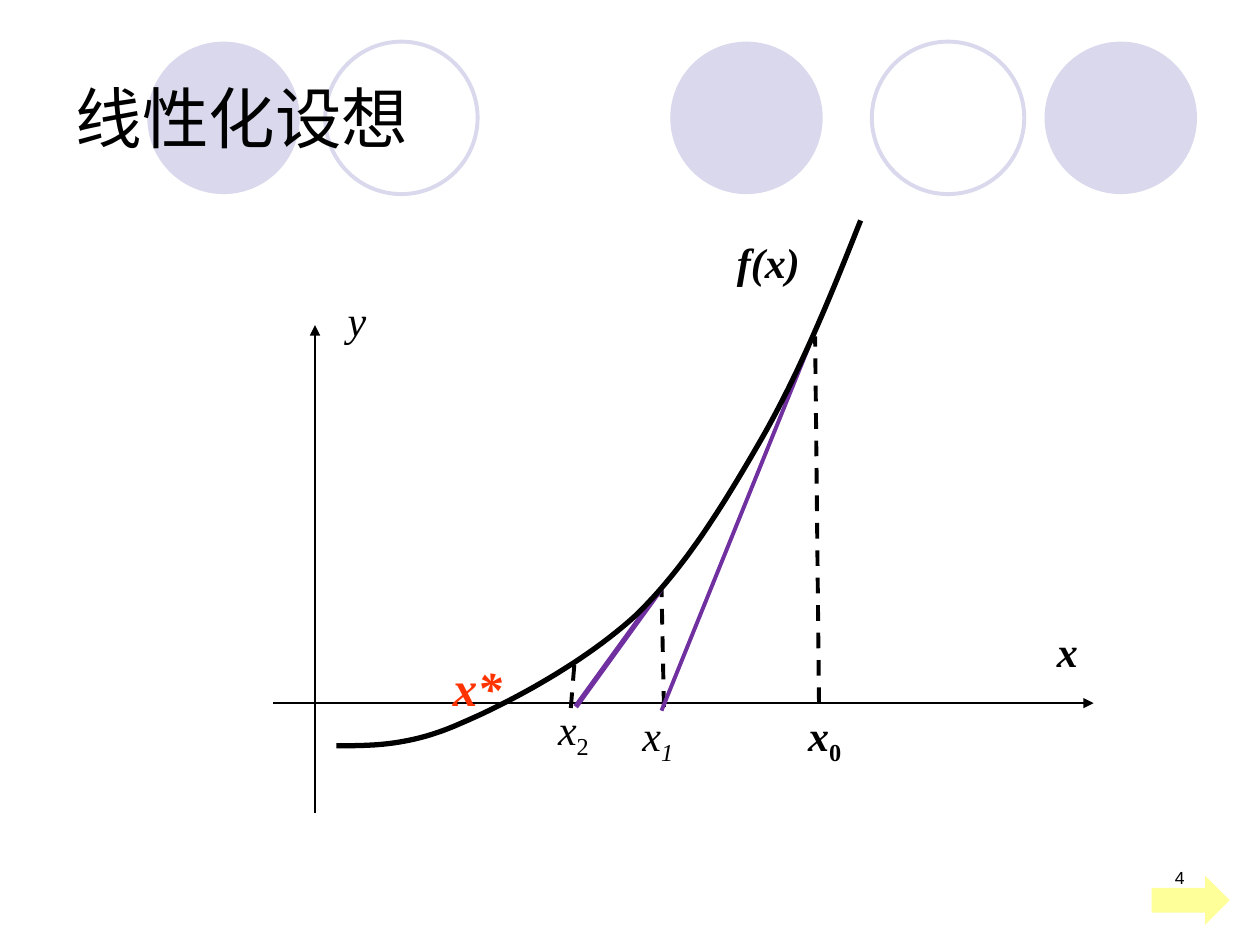
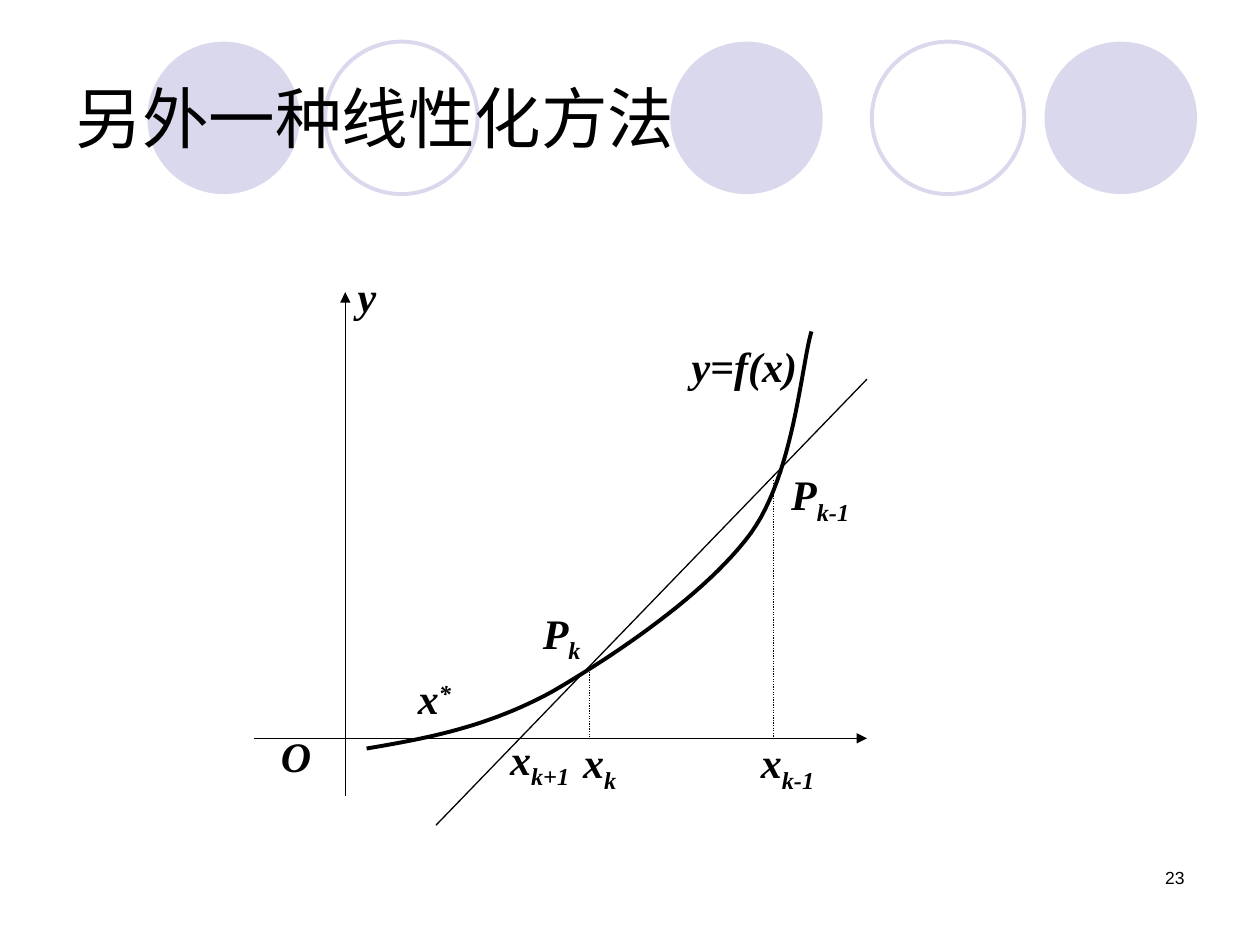
"""Build two slides that show tangent and secant linearization of a curve."""
from dataclasses import dataclass

from lxml import etree
from pptx import Presentation, util as u
from pptx.dml import color
from pptx.enum import dml, shapes, text
from pptx.oxml import ns


@dataclass(frozen=True)
class Theme:
    """Colours, fonts and type sizes of the deck."""
    ink: str = "000000"
    lilac: str = "D9D8EC"
    violet: str = "7030A0"
    red: str = "FF3300"
    yellow: str = "FFFF99"
    sans: str = "Arial"
    serif: str = "Times New Roman"
    title: int = 38
    root: int = 28
    label: int = 24
    number: int = 10


@dataclass(frozen=True)
class Box:
    """A region of the page in points."""
    left: float
    top: float
    width: float
    height: float

    def inner(self, left, top, width, height):
        """Return a box placed relative to this one."""
        return Box(self.left + left, self.top + top, width, height)

    def point(self, x, y):
        """Return a relative point as page lengths."""
        return u.Pt(self.left + x), u.Pt(self.top + y)

    def lengths(self):
        """Return left, top, width and height as page lengths."""
        return [u.Pt(side) for side in (self.left, self.top, self.width, self.height)]


THEME = Theme()
TITLE_BOX = Box(36, 21.6, 648, 90)
CIRCLE_BAND = Box(84.2, 23.8, 600, 87.1)
NUMBER_BOX = Box(516.2, 491.8, 167.8, 36)
ARROW_BOX = Box(658.1, 500.4, 44.6, 28.1)
TANGENT_BOX = Box(156, 126, 470, 340)
SECANT_BOX = Box(145, 151, 350, 321)
SUB, SUPER = -25, 30
CENTER, RIGHT = text.PP_ALIGN.CENTER, text.PP_ALIGN.RIGHT
DASH, DOT = dml.MSO_LINE.DASH, dml.MSO_LINE.ROUND_DOT


def rgb(code):
    """Turn a hex code into a colour."""
    return color.RGBColor.from_string(code)


def set_line(line, code, width):
    """Give a line its colour and width."""
    line.color.rgb = rgb(code)
    line.width = u.Pt(width)


def add_span(para, words, size, font=THEME.serif, code=THEME.ink,
             bold=False, italic=False, shift=0):
    """Add one run, raised or lowered by a percentage."""
    span = para.add_run()
    span.text = words
    span.font.name, span.font.size = font, u.Pt(size)
    span.font.bold, span.font.italic = bold, italic
    span.font.color.rgb = rgb(code)
    if shift:
        span.font._element.set("baseline", str(shift * 1000))


def add_para(page, box, align=text.PP_ALIGN.LEFT, wrap=True):
    """Add a text box and return its first paragraph."""
    frame = page.shapes.add_textbox(*box.lengths()).text_frame
    frame.word_wrap = wrap
    para = frame.paragraphs[0]
    para.alignment = align
    return para


def add_label(page, box, place, symbol, mark="", shift=SUB, size=THEME.label,
              code=THEME.ink, bold=True, mark_italic=True, **layout):
    """Add an italic symbol with an optional index at left, top, width."""
    para = add_para(page, box.inner(*place, size * 1.5), **layout)
    add_span(para, symbol, size, code=code, bold=bold, italic=True)
    if mark:
        add_span(para, mark, size, code=code, bold=bold, italic=mark_italic, shift=shift)


def add_line(page, box, start, end, width, code=THEME.ink, dash=None, arrow=False):
    """Add a straight line between two relative points."""
    line = page.shapes.add_connector(
        shapes.MSO_CONNECTOR.STRAIGHT, *box.point(*start), *box.point(*end))
    set_line(line.line, code, width)
    if dash:
        line.line.dash_style = dash
    if arrow:
        etree.SubElement(line.line._get_or_add_ln(), ns.qn("a:tailEnd"), type="triangle")
    etree.SubElement(line._element.spPr, ns.qn("a:effectLst"))


def bezier(knots, steps=24):
    """Return points along a chain of cubic curves."""
    points = [knots[0]]
    for first in range(0, len(knots) - 1, 3):
        for step in range(1, steps + 1):
            t = step / steps
            weights = ((1 - t) ** 3, 3 * t * (1 - t) ** 2, 3 * t * t * (1 - t), t ** 3)
            chain = list(zip(weights, knots[first:first + 4]))
            points.append(tuple(sum(w * knot[axis] for w, knot in chain) for axis in (0, 1)))
    return points


def add_curve(page, box, knots, width):
    """Draw a smooth open curve through relative knots."""
    points = [box.point(*point) for point in bezier(knots)]
    builder = page.shapes.build_freeform(*points[0])
    builder.add_line_segments(points[1:], close=False)
    curve = builder.convert_to_shape()
    curve.shadow.inherit = False
    curve.fill.background()
    set_line(curve.line, THEME.ink, width)


def add_preset(page, kind, box, fill=None, outline=None):
    """Add a preset shape that is filled or outlined."""
    shape = page.shapes.add_shape(kind, *box.lengths())
    shape.shadow.inherit = False
    if fill:
        shape.fill.solid()
        shape.fill.fore_color.rgb = rgb(fill)
    else:
        shape.fill.background()
    if outline:
        set_line(shape.line, outline, 2.25)
    else:
        shape.line.fill.background()


def add_circles(page, band):
    """Draw the row of solid and hollow circles."""
    size = band.height
    for left, solid in ((0, True), (101.6, False), (298.8, True), (414, False), (512.7, True)):
        look = {"fill": THEME.lilac} if solid else {"outline": THEME.lilac}
        add_preset(page, shapes.MSO_SHAPE.OVAL, band.inner(left, 0, size, size), **look)


def add_title(page, box, words):
    """Place the title above the circles and format it."""
    title = page.shapes.title
    title.element.getparent().append(title.element)
    title.left, title.top, title.width, title.height = box.lengths()
    frame = title.text_frame
    frame.vertical_anchor = text.MSO_ANCHOR.MIDDLE
    para = frame.paragraphs[0]
    para.alignment = text.PP_ALIGN.LEFT
    add_span(para, words, THEME.title, THEME.sans)


def add_number(page, box, number):
    """Write the page number at the right of its box."""
    add_span(add_para(page, box, RIGHT), str(number), THEME.number, THEME.sans)


def add_page(deck, words):
    """Add a page with circles and a title."""
    page = deck.slides.add_slide(deck.slide_layouts[5])
    add_circles(page, CIRCLE_BAND)
    add_title(page, TITLE_BOX, words)
    return page


def draw_tangents(page, box):
    """Draw the curve with two tangent steps towards its root."""
    base = 275.8
    add_line(page, box, (0, base), (469, base), 1, arrow=True)
    add_line(page, box, (24, 338.4), (24, 59.8), 1, arrow=True)
    for foot, top in (((312, base), (309.8, 66.2)),
                      ((223.4, 277.9), (222, 210.2)),
                      ((170.2, 278.6), (172.3, 252.7))):
        add_line(page, box, foot, top, 2.25, dash=DASH)
    add_line(page, box, (306.2, 72), (222, 280.1), 2.25, THEME.violet)
    add_line(page, box, (222, 210.2), (173, 277.9), 3, THEME.violet)
    add_curve(page, box, [
        (36.2, 300.2), (57.1, 300.2), (78.7, 300.2), (107.5, 287.3),
        (136.3, 275), (178.8, 252), (207.6, 225.4),
        (235.7, 198), (257.3, 162.7), (278.9, 125.3),
        (300.5, 87.8), (318.5, 43.9), (335.8, 0)], 3)
    add_label(page, box, (72.2, 246.2, 89.3), "x*", size=THEME.root, code=THEME.red, align=CENTER)
    add_label(page, box, (276, base, 78.5), "x", "0", mark_italic=False, align=CENTER)
    add_label(page, box, (204, base, 36), "x", "1", bold=False)
    add_label(page, box, (155.8, 272.2, 34.6), "x", "2", bold=False, mark_italic=False, wrap=False)
    add_label(page, box, (425.8, 228.2, 56.2), "x", align=CENTER)
    add_label(page, box, (35.5, 38.9, 46.8), "y", bold=False)
    add_label(page, box, (258, 5.8, 50.4), "f(x)", wrap=False)


def draw_secant(page, box):
    """Draw the curve with a secant through two of its points."""
    base, axis = 270.9, 52.3
    add_line(page, box, (43.6, base), (350.4, base), 0.75, arrow=True)
    add_line(page, box, (axis, base), (0, base), 0.75)
    add_line(page, box, (axis, 304), (axis, 16), 0.75, arrow=True)
    add_curve(page, box, [
        (64.5, 276.7), (99.1, 270.9), (133.6, 264.4), (170.4, 244.3),
        (206.4, 223.4), (258.9, 188.1), (284.1, 153.6),
        (308.6, 119.7), (312.9, 57.8), (318.7, 38.4)], 2.25)
    add_line(page, box, (350.4, 65.7), (104.1, 320.6), 0.75)
    for x, top in ((192, 229.9), (297.1, 123.3)):
        add_line(page, box, (x, top), (x, base), 0.75, dash=DOT)
    for place, symbol, mark in (
            ((300, 113.2, 96.5), "P", "k-1"),
            ((282.7, 266.6, 61), "x", "k-1"),
            ((139.4, 264.4, 105), "x", "k+1"),
            ((181.2, 266.6, 69.8), "x", "k"),
            ((158.1, 192.4, 87.8), "P", "k"),
            ((8.4, 263, 88), "O", ""),
            ((axis, 0.2, 96.5), "y", ""),
            ((243.1, 39.8, 175), "y=f(x)", "")):
        add_label(page, box, place, symbol, mark)
    add_label(page, box, (86.8, 229.9, 96.5), "x", "*", SUPER)


def main():
    """Build and save the deck."""
    deck = Presentation()
    deck.slide_width, deck.slide_height = u.Pt(720), u.Pt(540)
    page = add_page(deck, "线性化设想")
    draw_tangents(page, TANGENT_BOX)
    add_preset(page, shapes.MSO_SHAPE.RIGHT_ARROW, ARROW_BOX, fill=THEME.yellow)
    add_number(page, NUMBER_BOX, 4)
    page = add_page(deck, "另外一种线性化方法")
    draw_secant(page, SECANT_BOX)
    add_number(page, NUMBER_BOX, 23)
    deck.save("out.pptx")


if __name__ == "__main__":
    main()
